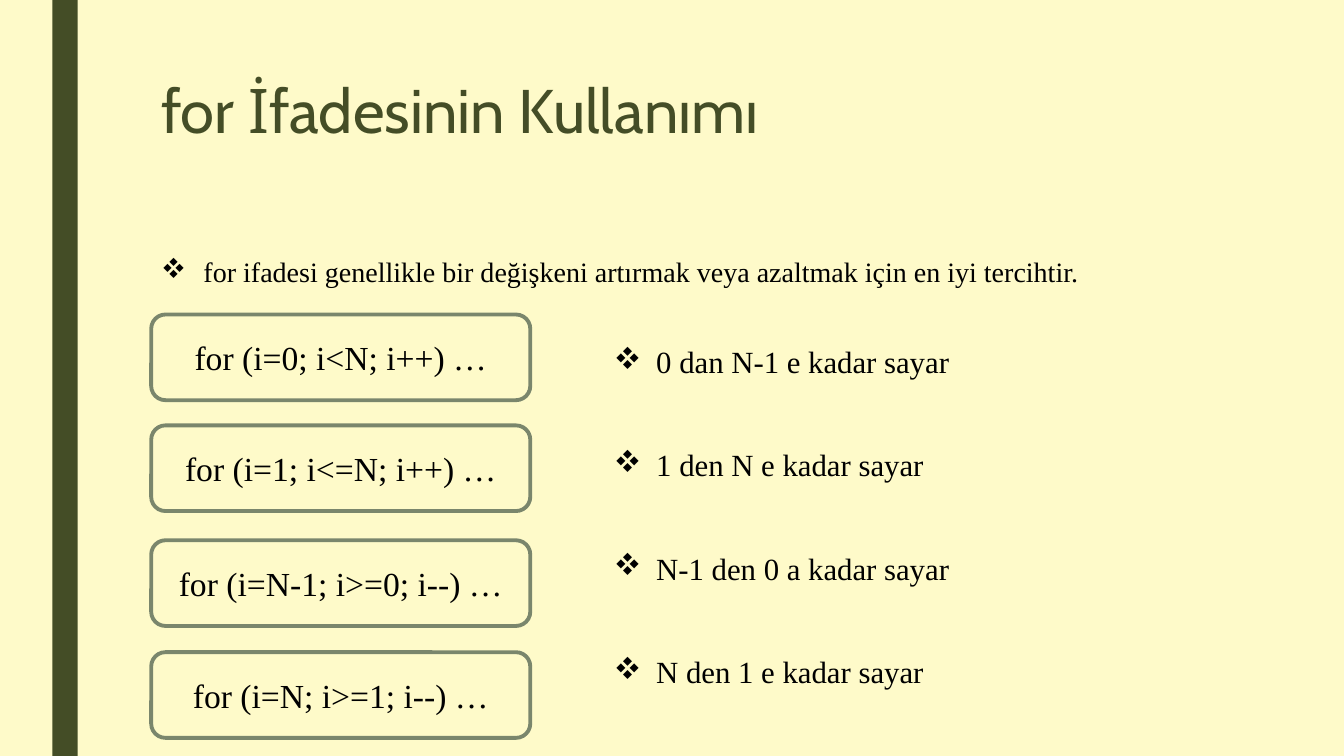
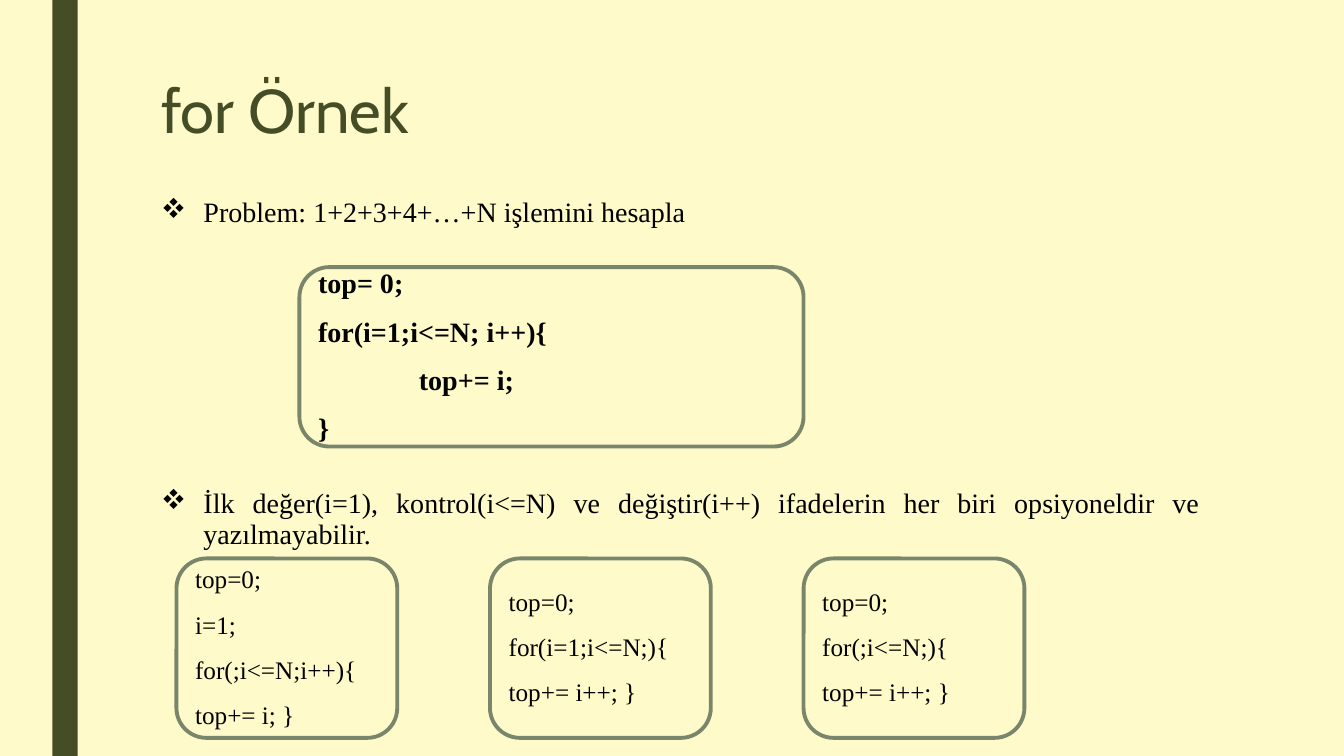
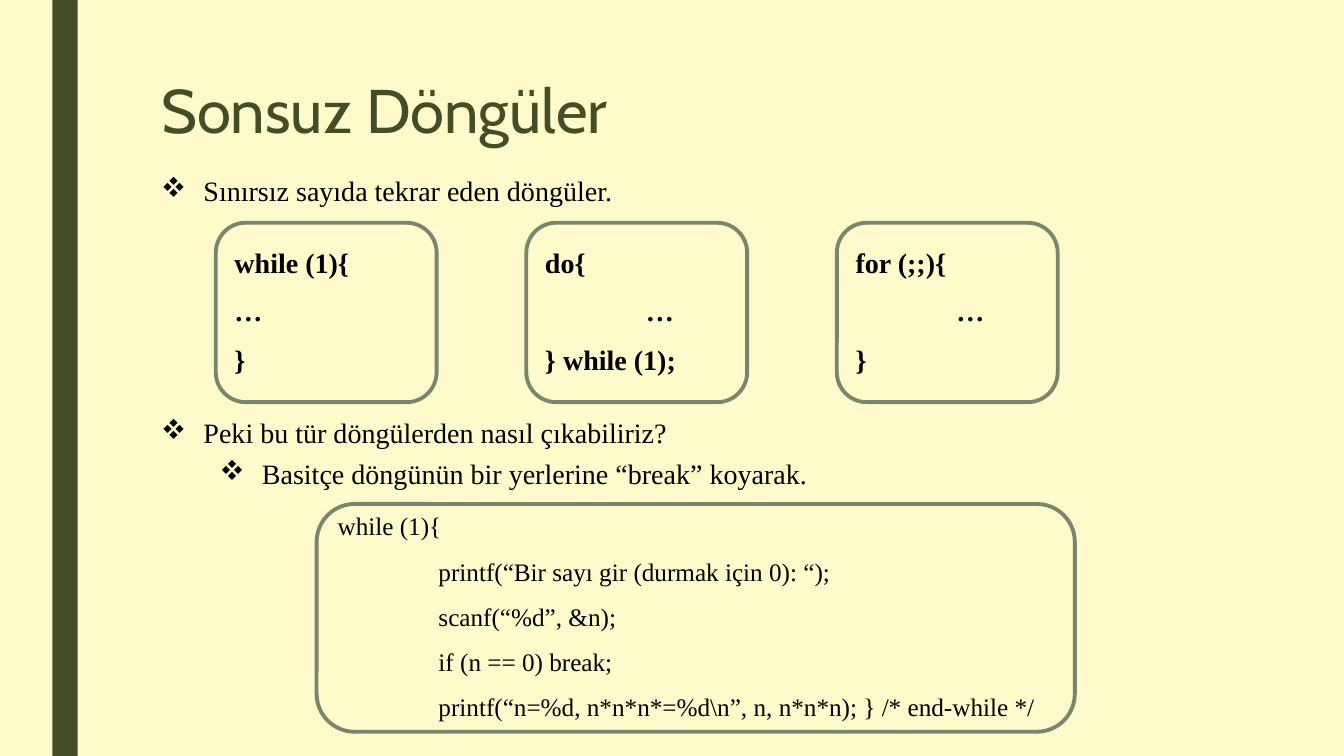
from lxml import etree
from pptx import Presentation
from pptx.dml.color import RGBColor
from pptx.enum.shapes import MSO_SHAPE
from pptx.enum.text import MSO_ANCHOR, PP_ALIGN
from pptx.oxml.ns import qn
from pptx.util import Emu, Inches, Pt

RECTANGLE, ROUNDED = MSO_SHAPE.RECTANGLE, MSO_SHAPE.ROUNDED_RECTANGLE
TOP, MIDDLE = MSO_ANCHOR.TOP, MSO_ANCHOR.MIDDLE
LEFT, CENTER, JUSTIFY = PP_ALIGN.LEFT, PP_ALIGN.CENTER, PP_ALIGN.JUSTIFY

# Shared look
CREAM = RGBColor(0xFE, 0xFA, 0xC9)
OLIVE = RGBColor(0x44, 0x4D, 0x26)
SAGE = RGBColor(0x7A, 0x86, 0x6C)
BLACK = RGBColor(0, 0, 0)
TITLE_FONT, BODY_FONT = "Cabin", "Times New Roman"
BULLET_FONT, BULLET = "Wingdings", "v"  # the four-diamond mark
MARGIN, CONTENT_WIDTH = 1.5, 10.5
HANGING, TAB_STOP = 0.42, 1
LINE_SPACING, SPACE_BEFORE, SPACE_AFTER = 0.94, 10, 2

# Slide 1: loop headers with their tops, and what each one counts
LOOP_HEADERS = [
    ("for (i=0; i<N; i++) …", 3.12),
    ("for (i=1; i<=N; i++) …", 4.22),
    ("for (i=N-1; i>=0; i--) …", 5.36),
    ("for (i=N; i>=1; i--) …", 6.47),
]
COUNTS = [
    "0 dan N-1 e kadar sayar",
    "1 den N e kadar sayar",
    "N-1 den 0 a kadar sayar",
    "N den 1 e kadar sayar",
]
USAGE = "for ifadesi genellikle bir değişkeni artırmak veya azaltmak için en iyi tercihtir."

# Slide 2: the sum and its variants
PROBLEM = "Problem: 1+2+3+4+…+N işlemini hesapla"
OPTIONAL = ("İlk değer(i=1), kontrol(i<=N) ve değiştir(i++) ifadelerin her biri "
            "opsiyoneldir ve yazılmayabilir.")
SUM_CODE = ["top= 0;", "for(i=1;i<=N; i++){", "\ttop+= i;", "}"]
SUM_VARIANTS = [
    ["top=0;", "i=1;", "for(;i<=N;i++){", "top+= i; }"],
    ["top=0;", "for(i=1;i<=N;){", "top+= i++; }"],
    ["top=0;", "for(;i<=N;){", "top+= i++; }"],
]

# Slide 3: endless loops and the way out
ENDLESS = "Sınırsız sayıda tekrar eden döngüler."
QUESTION = "Peki bu tür döngülerden nasıl çıkabiliriz?"
ANSWER = "Basitçe döngünün bir yerlerine “break” koyarak."
ENDLESS_LOOPS = [
    ["while (1){", "…", "}"],
    ["do{", "\t…", "} while (1);"],
    ["for (;;){", "\t…", "}"],
]
BREAK_CODE = [
    "while (1){",
    "\tprintf(“Bir sayı gir (durmak için 0): “);",
    "\tscanf(“%d”, &n);",
    "\tif (n == 0) break;",
    "\tprintf(“n=%d, n*n*n*=%d\\n”, n, n*n*n); } /* end-while */",
]


def write(shape, lines, size, font=BODY_FONT, color=BLACK, bold=False, align=LEFT,
          anchor=TOP, spacing=LINE_SPACING, before=None):
    """Fill a shape with one paragraph per line; before lists the space above each."""
    frame = shape.text_frame
    frame.word_wrap = True
    frame.vertical_anchor = anchor
    frame.text = "\n".join(lines)
    for index, paragraph in enumerate(frame.paragraphs):
        paragraph.alignment = align
        paragraph.line_spacing = spacing
        gap = before[index] if before else SPACE_BEFORE
        paragraph.space_before = Pt(gap if index else 0)
        paragraph.space_after = Pt(SPACE_AFTER)
        for run in paragraph.runs:
            run.font.name = font
            run.font.size = Pt(size)
            run.font.bold = bold
            run.font.color.rgb = color


def add_text(slide, left, top, width, height, lines, size, **style):
    box = slide.shapes.add_textbox(*map(Inches, (left, top, width, height)))
    write(box, lines, size, **style)
    return box


def add_bullets(slide, left, top, width, height, items, size, align=LEFT):
    """Items are (text, left indent, space before)."""
    lines, indents, before = zip(*items)
    box = add_text(slide, left, top, width, height, lines, size,
                   align=align, before=before)
    for paragraph, indent in zip(box.text_frame.paragraphs, indents):
        properties = paragraph._p.get_or_add_pPr()
        properties.set("marL", str(Inches(indent)))
        properties.set("indent", str(-Inches(HANGING)))
        bullet_font = etree.SubElement(properties, qn("a:buFont"))
        bullet_font.set("typeface", BULLET_FONT)
        bullet_font.set("charset", "2")
        etree.SubElement(properties, qn("a:buChar")).set("char", BULLET)


def add_code(slide, left, top, width, height, lines, size, **style):
    box = slide.shapes.add_shape(ROUNDED, *map(Inches, (left, top, width, height)))
    box.shadow.inherit = False
    box.fill.background()
    box.line.color.rgb = SAGE
    box.line.width = Pt(2.75)
    write(box, lines, size, anchor=MIDDLE, **style)
    for paragraph in box.text_frame.paragraphs:
        if paragraph.text.startswith("\t"):
            stops = etree.SubElement(paragraph._p.get_or_add_pPr(), qn("a:tabLst"))
            stop = etree.SubElement(stops, qn("a:tab"))
            stop.set("pos", str(Inches(TAB_STOP)))
            stop.set("algn", "l")


def add_code_row(slide, left, top, pitch, codes, size, **style):
    for column, lines in enumerate(codes):
        add_code(slide, left + column * pitch, top, 2.19, 1.78, lines, size, **style)


def add_slide(presentation, title):
    slide = presentation.slides.add_slide(presentation.slide_layouts[6])
    band = slide.shapes.add_shape(RECTANGLE, Inches(0.52), Emu(0), Inches(0.25),
                                  presentation.slide_height)
    band.shadow.inherit = False
    band.fill.solid()
    band.fill.fore_color.rgb = OLIVE
    band.line.fill.background()
    add_text(slide, MARGIN, 0.75, CONTENT_WIDTH, 1.62, [title], 44,
             font=TITLE_FONT, color=OLIVE, spacing=0.89)
    return slide


def build_usage(presentation):
    slide = add_slide(presentation, "for İfadesinin Kullanımı")
    add_bullets(slide, MARGIN, 2.5, CONTENT_WIDTH, 0.55, [(USAGE, HANGING, 0)], 20)
    for header, top in LOOP_HEADERS:
        add_code(slide, MARGIN, top, 3.76, 0.85, [header], 24,
                 align=CENTER, spacing=1.0)
    add_bullets(slide, 5.99, 3.38, 6.7, 3.49,
                [(count, HANGING, 47) for count in COUNTS], 22)


def build_example(presentation):
    slide = add_slide(presentation, "for Örnek")
    add_bullets(slide, MARGIN, 1.91, CONTENT_WIDTH, 3.92,
                [(PROBLEM, HANGING, 0), (OPTIONAL, HANGING, 183)], 20, align=JUSTIFY)
    add_code(slide, 2.97, 2.65, 5, 1.78, SUM_CODE, 20, bold=True)
    add_code_row(slide, 1.75, 5.54, 3.11, SUM_VARIANTS, 18)


def build_endless(presentation):
    slide = add_slide(presentation, "Sonsuz Döngüler")
    add_bullets(slide, MARGIN, 1.7, CONTENT_WIDTH, 3.92,
                [(ENDLESS, HANGING, 0), (QUESTION, HANGING, 148), (ANSWER, 1, 5)], 20)
    add_code_row(slide, 2.14, 2.21, 3.08, ENDLESS_LOOPS, 20, bold=True)
    add_code(slide, 3.14, 5, 7.52, 2.26, BREAK_CODE, 18)


def main():
    presentation = Presentation()
    presentation.slide_width = Inches(13.33)
    presentation.slide_height = Inches(7.5)
    background = presentation.slide_master.background.fill
    background.solid()
    background.fore_color.rgb = CREAM
    for build in (build_usage, build_example, build_endless):
        build(presentation)
    presentation.save("out.pptx")


if __name__ == "__main__":
    main()
